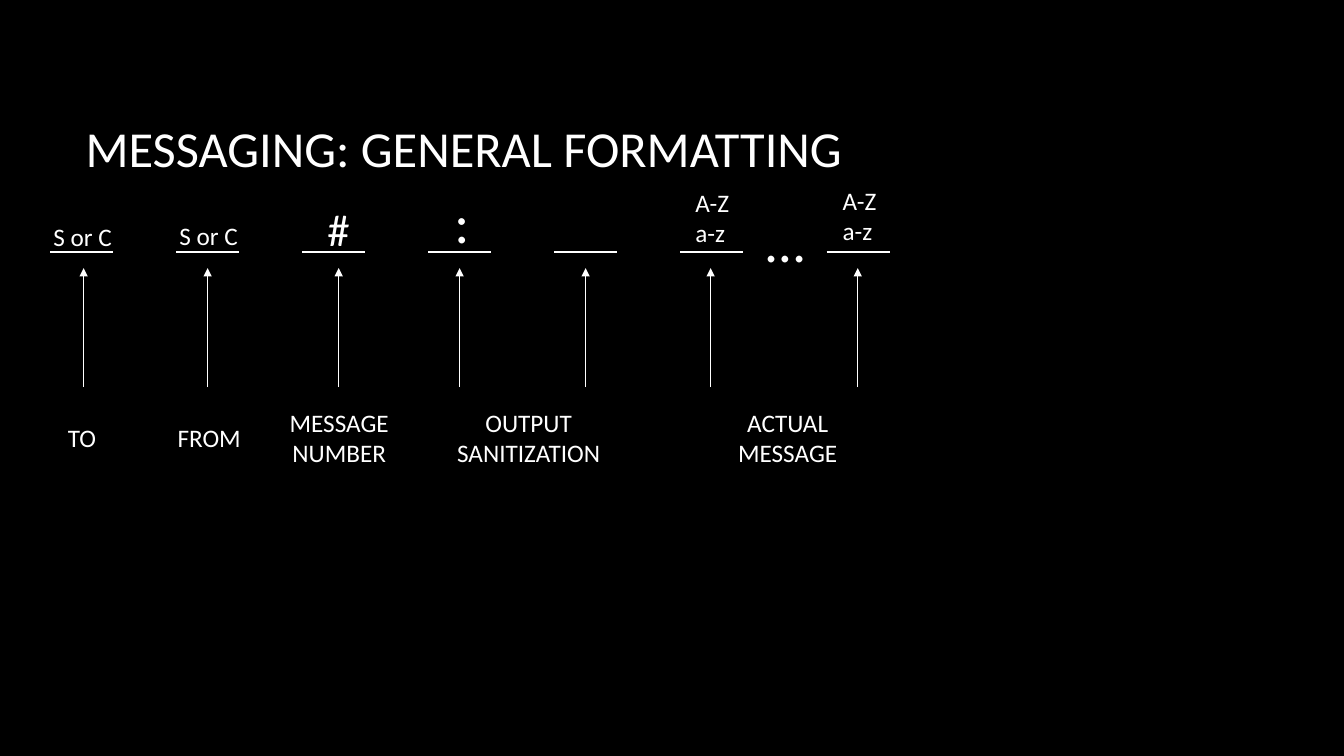
import dataclasses
import typing

import pptx
import pptx.dml.color
import pptx.enum.shapes
import pptx.enum.text
import pptx.oxml.ns
import pptx.slide
import pptx.util
from lxml import etree

Pt = pptx.util.Pt
ALIGN = pptx.enum.text.PP_ALIGN
ANCHOR = pptx.enum.text.MSO_ANCHOR
FIT = pptx.enum.text.MSO_AUTO_SIZE


@dataclasses.dataclass(frozen=True)
class Theme:
    back: pptx.dml.color.RGBColor = pptx.dml.color.RGBColor(0, 0, 0)
    ink: pptx.dml.color.RGBColor = pptx.dml.color.RGBColor(255, 255, 255)
    font: str = "Calibri"
    title: float = 36
    mark: float = 40
    hash: float = 32
    body: float = 18
    stroke: float = 0.75


THEME = Theme()


class Label(typing.NamedTuple):
    text: str
    left: float
    top: float
    width: float
    height: float
    size: float = THEME.body
    align: ALIGN = ALIGN.LEFT
    anchor: ANCHOR = ANCHOR.TOP
    wrap: bool = True
    fit: FIT = FIT.SHAPE_TO_FIT_TEXT


# Slots: six at an equal pitch, then the last one after the dots
SLOT_TOP, SLOT_WIDTH = 180, 45
SLOTS = [36 + 90 * step for step in range(6)] + [590.4]

# Arrows point up at the slots
ARROW_FOOT, ARROW_TIP = 276.5, 191.5
ARROWS = [59.76, 148.32, 241.92, 328.32, 418.32, 507.6, 612.72]

TITLE = Label("MESSAGING: GENERAL FORMATTING", 54, 48.25, 797.75, 114.5,
              THEME.title, anchor=ANCHOR.MIDDLE, fit=FIT.NONE)

# What stands in each slot
SIGNS = [
    Label("S or C", 31, 154.8, 57, 29, wrap=False),
    Label("S or C", 121, 154.1, 57, 29, wrap=False),
    Label("#", 226.8, 140.4, 31, 46, THEME.hash, wrap=False),
    Label(":", 317.5, 130.3, 74, 55.5, THEME.mark),
    Label("A-Z\na-z", 489.6, 130.3, 74, 51),
    Label("…", 540, 144, 45.4, 55.5, THEME.mark),
    Label("A-Z\na-z", 594.7, 128.9, 74, 51),
]

# What each part means: words, left, width, lines
NOTES = [
    ("TO", 26.6, 64, 1),
    ("FROM", 117.4, 64, 1),
    ("MESSAGE NUMBER", 195.8, 93, 2),
    ("OUTPUT SANITIZATION", 314.6, 126, 2),
    ("ACTUAL MESSAGE", 519.1, 87, 2),
]
NOTE_MID, NOTE_LINE, NOTE_PAD = 312.8, 22, 7.2


def add_label(slide: pptx.slide.Slide, label: Label) -> None:
    box = slide.shapes.add_textbox(
        Pt(label.left), Pt(label.top), Pt(label.width), Pt(label.height))
    frame = box.text_frame
    frame.word_wrap = label.wrap
    frame.auto_size = label.fit
    frame.vertical_anchor = label.anchor
    frame.text = label.text
    for line in frame.paragraphs:
        line.alignment = label.align
        line.font.name = THEME.font
        line.font.size = Pt(label.size)
        line.font.color.rgb = THEME.ink


def add_line(slide: pptx.slide.Slide, start: tuple[float, float],
             end: tuple[float, float], arrow: bool = False) -> None:
    line = slide.shapes.add_connector(
        pptx.enum.shapes.MSO_CONNECTOR.STRAIGHT,
        Pt(start[0]), Pt(start[1]), Pt(end[0]), Pt(end[1]))
    line.line.color.rgb = THEME.ink
    line.line.width = Pt(THEME.stroke)
    if arrow:
        etree.SubElement(line.line._get_or_add_ln(),
                         pptx.oxml.ns.qn("a:tailEnd"), type="triangle")
    etree.SubElement(line._element.spPr, pptx.oxml.ns.qn("a:effectLst"))


def main() -> None:
    deck = pptx.Presentation()
    deck.slide_width, deck.slide_height = Pt(960), Pt(540)
    slide = deck.slides.add_slide(deck.slide_layouts[6])
    slide.background.fill.solid()
    slide.background.fill.fore_color.rgb = THEME.back

    # Title
    add_label(slide, TITLE)

    # Slots and their signs
    for left in SLOTS:
        add_line(slide, (left, SLOT_TOP), (left + SLOT_WIDTH, SLOT_TOP))
    for sign in SIGNS:
        add_label(slide, sign)

    # Arrows
    for x in ARROWS:
        add_line(slide, (x, ARROW_FOOT), (x, ARROW_TIP), arrow=True)

    # Notes, all centred on one level
    for text, left, width, lines in NOTES:
        height = lines * NOTE_LINE + NOTE_PAD
        add_label(slide, Label(text, left, NOTE_MID - height / 2, width,
                               height, align=ALIGN.CENTER))

    deck.save("out.pptx")


if __name__ == "__main__":
    main()
